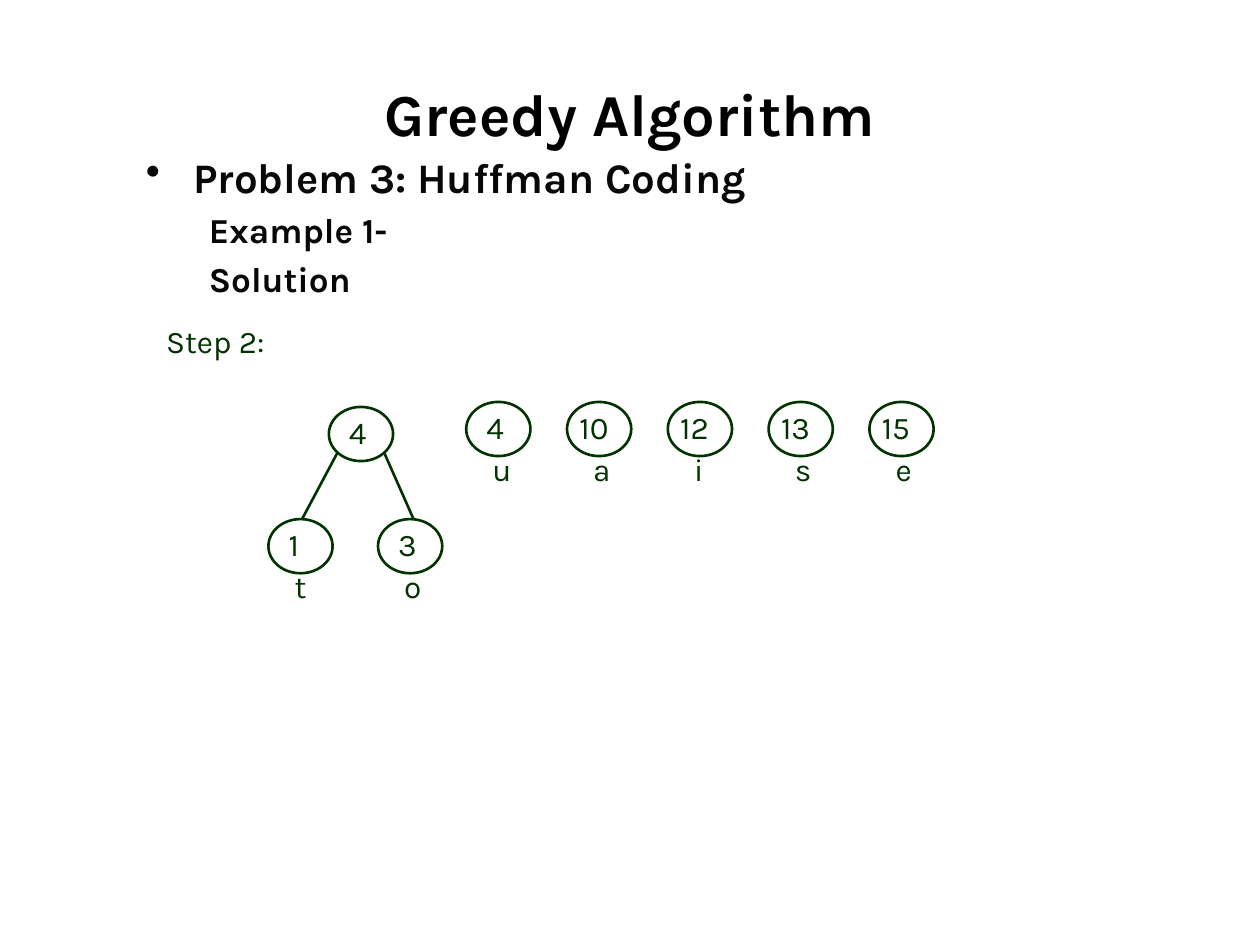
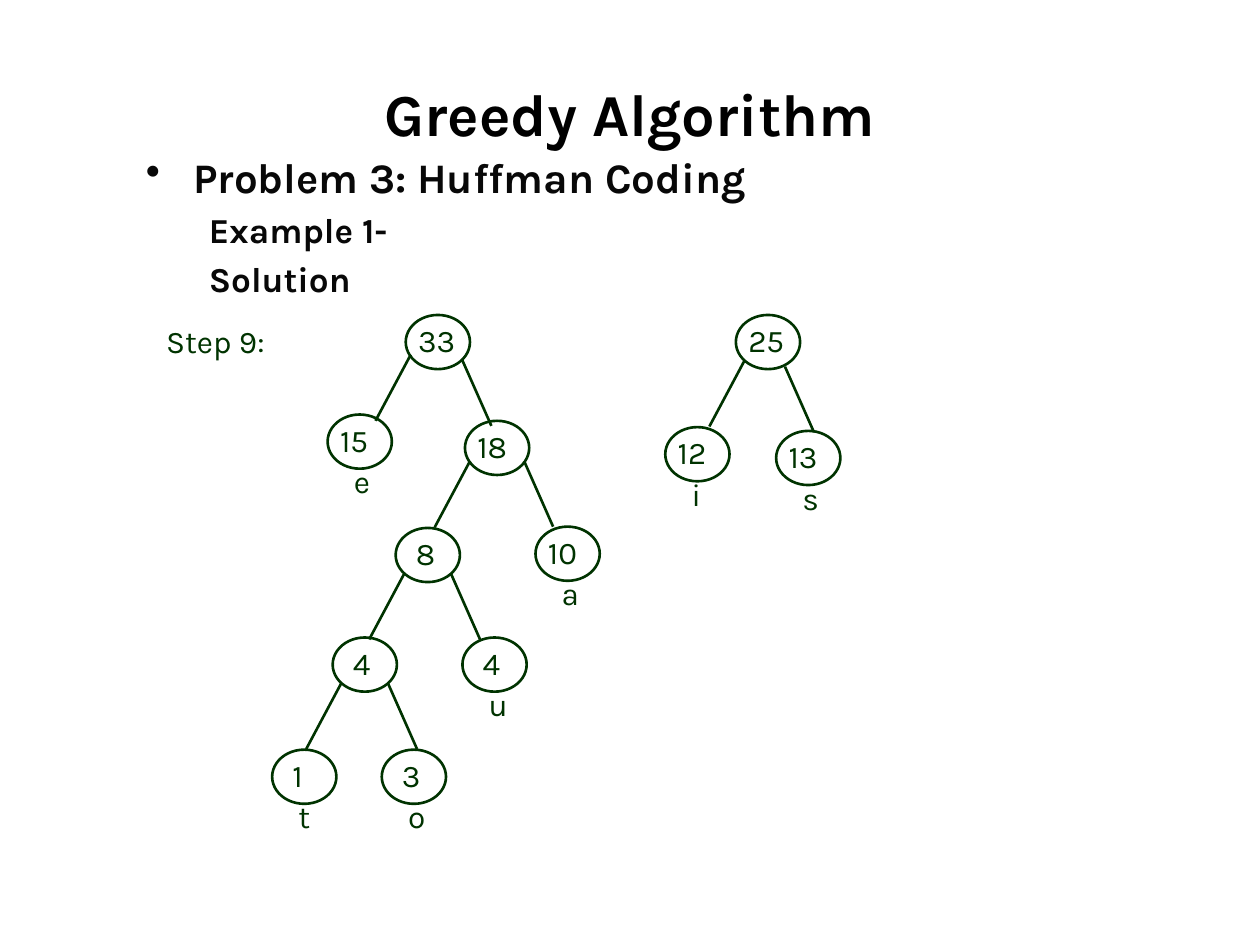
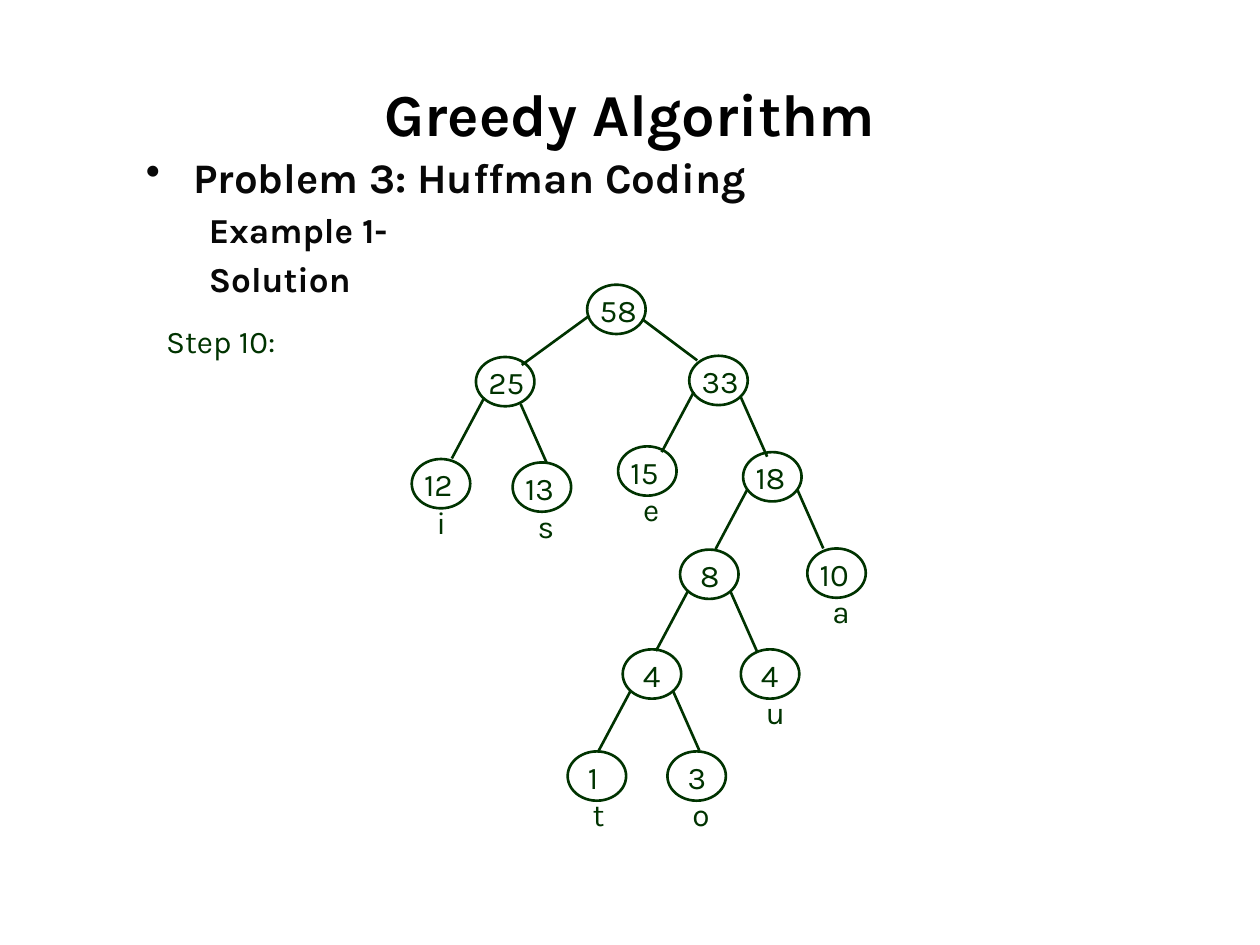
from dataclasses import dataclass
from typing import NamedTuple

from lxml import etree
from pptx import Presentation
from pptx.dml.color import RGBColor
from pptx.enum.shapes import MSO_CONNECTOR, MSO_SHAPE
from pptx.enum.text import MSO_ANCHOR, MSO_AUTO_SIZE, PP_ALIGN
from pptx.oxml.ns import qn
from pptx.shapes.shapetree import GroupShapes
from pptx.slide import Slide
from pptx.util import Emu, Inches, Pt

ELLIPSE = MSO_SHAPE.OVAL
STRAIGHT = MSO_CONNECTOR.STRAIGHT
CENTER, JUSTIFY = PP_ALIGN.CENTER, PP_ALIGN.JUSTIFY
MIDDLE = MSO_ANCHOR.MIDDLE
GROW = MSO_AUTO_SIZE.SHAPE_TO_FIT_TEXT

FONT = "Karla"
BLACK, INK, GREEN = "000000", "080808", "003300"

# The slide is a grid of 100 columns by 75 rows
COLUMNS, ROWS = 100, 75
CELL = Inches(0.1)


class Point(NamedTuple):
    column: float
    row: float

    def plus(self, other: "Point", scale: float = 1) -> "Point":
        return Point(self.column + other.column * scale, self.row + other.row * scale)


class Size(NamedTuple):
    columns: float
    rows: float


@dataclass(frozen=True)
class Node:
    value: str
    symbol: str = ""
    branches: tuple["Branch", ...] = ()


@dataclass(frozen=True)
class Branch:
    """A child, its offset from the parent, and the line's start and run."""
    child: Node
    offset: Point
    start: Point
    run: Point


@dataclass(frozen=True)
class PlacedTree:
    root: Node
    corner: Point
    scale: float = 1


@dataclass(frozen=True)
class Step:
    number: int
    trees: tuple[PlacedTree, ...]


class BodyLine(NamedTuple):
    text: str
    size: int
    level: int
    margin: float
    indent: float
    bullet: str


# Measures of a node
NODE_SIZE = Size(5.1, 4.3)
VALUE_SIZE = Size(5.5, 4)
SYMBOL_SIZE = Size(3.9, 4)
SYMBOL_OFFSET = Point(1.1, 3.3)
LEFT_START, RIGHT_START = Point(0.7, 3.6), Point(4.4, 3.65)
LEFT_RUN, RIGHT_RUN = Point(-2.8, 5.25), Point(2.3, 5.2)


def left(child: Node, column: float, row: float,
         start: Point = LEFT_START, run: Point = LEFT_RUN) -> Branch:
    return Branch(child, Point(column, row), start, run)


def right(child: Node, column: float, row: float,
          start: Point = RIGHT_START, run: Point = RIGHT_RUN) -> Branch:
    return Branch(child, Point(column, row), start, run)


# Huffman trees, each built from the smaller ones
T, O, U = Node("1", "t"), Node("3", "o"), Node("4", "u")
A, I, S, E = Node("10", "a"), Node("12", "i"), Node("13", "s"), Node("15", "e")
TREE_4 = Node("4", branches=(left(T, -4.8, 8.9), right(O, 3.9, 8.9)))
TREE_8 = Node("8", branches=(left(TREE_4, -5, 8.7), right(U, 5.3, 8.7)))
TREE_18 = Node("18", branches=(
    left(TREE_8, -5.5, 8.5, Point(0.4, 3.2)), right(A, 5.6, 8.4, Point(4.7, 3.2))))
TREE_25 = Node("25", branches=(
    left(I, -5.6, 8.9), right(S, 3.2, 9.2, Point(3.9, 4.1))))
TREE_33 = Node("33", branches=(
    left(E, -6.2, 7.9, Point(0.4, 3.15)), right(TREE_18, 4.7, 8.4, Point(4.5, 3.6))))
TREE_58 = Node("58", branches=(
    left(TREE_25, -9.7, 6.3, Point(0.2, 2.7), Point(-5.9, 4.3)),
    right(TREE_33, 8.9, 6.2, Point(4.8, 3), Point(4.8, 3.6))))

# Single nodes of step 2 stand at equal gaps
LEAF_ROW = tuple(PlacedTree(leaf, Point(37 + 8 * index, 31.9))
                 for index, leaf in enumerate((U, A, I, S, E)))
STEPS = (
    Step(2, (PlacedTree(TREE_4, Point(26.1, 32.3)), *LEAF_ROW)),
    Step(9, (PlacedTree(TREE_33, Point(32.2, 25)), PlacedTree(TREE_25, Point(58.4, 25)))),
    Step(10, (PlacedTree(TREE_58, Point(46.6, 22.6), 0.91),)),
)

TITLE = "Greedy Algorithm"
BODY = (
    BodyLine("Problem 3: Huffman Coding", 24, 0, 3.75, -3.75, "•"),
    BodyLine("Example 1-", 20, 1, 5, 0, ""),
    BodyLine("Solution", 20, 1, 5, 0, ""),
)


def cells(count: float) -> Emu:
    return Emu(round(count * CELL))


def color(value: str) -> RGBColor:
    return RGBColor.from_string(value)


def style_font(font, size: int, ink: str, bold: bool = False) -> None:
    font.name, font.size, font.bold = FONT, Pt(size), bold
    font.color.rgb = color(ink)


def add_text(shapes, text: str, corner: Point, size: Size, points: int = 18,
             ink: str = GREEN, bold: bool = False, grow: bool = True):
    box = shapes.add_textbox(*map(cells, (*corner, *size)))
    frame = box.text_frame
    frame.word_wrap = True
    if grow:
        frame.auto_size = GROW
    frame.text = text
    style_font(frame.paragraphs[0].runs[0].font, points, ink, bold)
    return box


def format_body_line(paragraph, line: BodyLine) -> None:
    paragraph.text = line.text
    paragraph.alignment, paragraph.level = JUSTIFY, line.level
    style_font(paragraph.runs[0].font, line.size, INK, True)
    # Indents, relative spacing and bullet
    properties = paragraph._p.get_or_add_pPr()
    properties.set("marL", str(cells(line.margin)))
    properties.set("indent", str(cells(line.indent)))
    spacing = etree.SubElement(properties, qn("a:spcBef"))
    etree.SubElement(spacing, qn("a:spcPct")).set("val", "20000")
    if line.bullet:
        etree.SubElement(properties, qn("a:buChar")).set("char", line.bullet)
    else:
        etree.SubElement(properties, qn("a:buNone"))


def add_heading(slide: Slide) -> None:
    title = add_text(slide.shapes, TITLE, Point(5, 5), Size(90, 7.9), 34, BLACK, True, False)
    title.text_frame.vertical_anchor = MIDDLE
    title.text_frame.paragraphs[0].alignment = CENTER
    body = slide.shapes.add_textbox(*map(cells, (10.6, 11.5, 78.7, 20.5)))
    frame = body.text_frame
    frame.word_wrap = True
    for index, line in enumerate(BODY):
        paragraph = frame.add_paragraph() if index else frame.paragraphs[0]
        format_body_line(paragraph, line)


def add_edge(shapes: GroupShapes, start: Point, end: Point) -> None:
    edge = shapes.add_connector(STRAIGHT, *map(cells, (*start, *end)))
    edge.line.color.rgb, edge.line.width = color(GREEN), Pt(1.5)
    etree.SubElement(edge._element.spPr, qn("a:effectLst"))


def scaled(size: Size, scale: float) -> Size:
    return Size(size.columns * scale, size.rows * scale)


def draw_node(shapes: GroupShapes, node: Node, corner: Point, scale: float) -> None:
    ellipse = shapes.add_shape(ELLIPSE, *map(cells, (*corner, *scaled(NODE_SIZE, scale))))
    ellipse.shadow.inherit = False
    ellipse.fill.background()
    ellipse.line.color.rgb, ellipse.line.width = color(GREEN), Pt(1.5)
    value = add_text(shapes, node.value, corner, scaled(VALUE_SIZE, scale))
    if len(node.value) == 1:
        value.text_frame.margin_left = cells(1.6)
    if node.symbol:
        add_text(shapes, node.symbol, corner.plus(SYMBOL_OFFSET, scale),
                 scaled(SYMBOL_SIZE, scale))
    for branch in node.branches:
        start = corner.plus(branch.start, scale)
        add_edge(shapes, start, start.plus(branch.run, scale))
        draw_node(shapes, branch.child, corner.plus(branch.offset, scale), scale)


def main() -> None:
    presentation = Presentation()
    presentation.slide_width, presentation.slide_height = cells(COLUMNS), cells(ROWS)
    for step in STEPS:
        slide = presentation.slides.add_slide(presentation.slide_layouts[6])
        add_heading(slide)
        add_text(slide.shapes, f"Step {step.number}:", Point(12.2, 25.1), Size(11.8, 4))
        for tree in step.trees:
            group = slide.shapes.add_group_shape()
            draw_node(group.shapes, tree.root, tree.corner, tree.scale)
    presentation.save("out.pptx")


if __name__ == "__main__":
    main()
